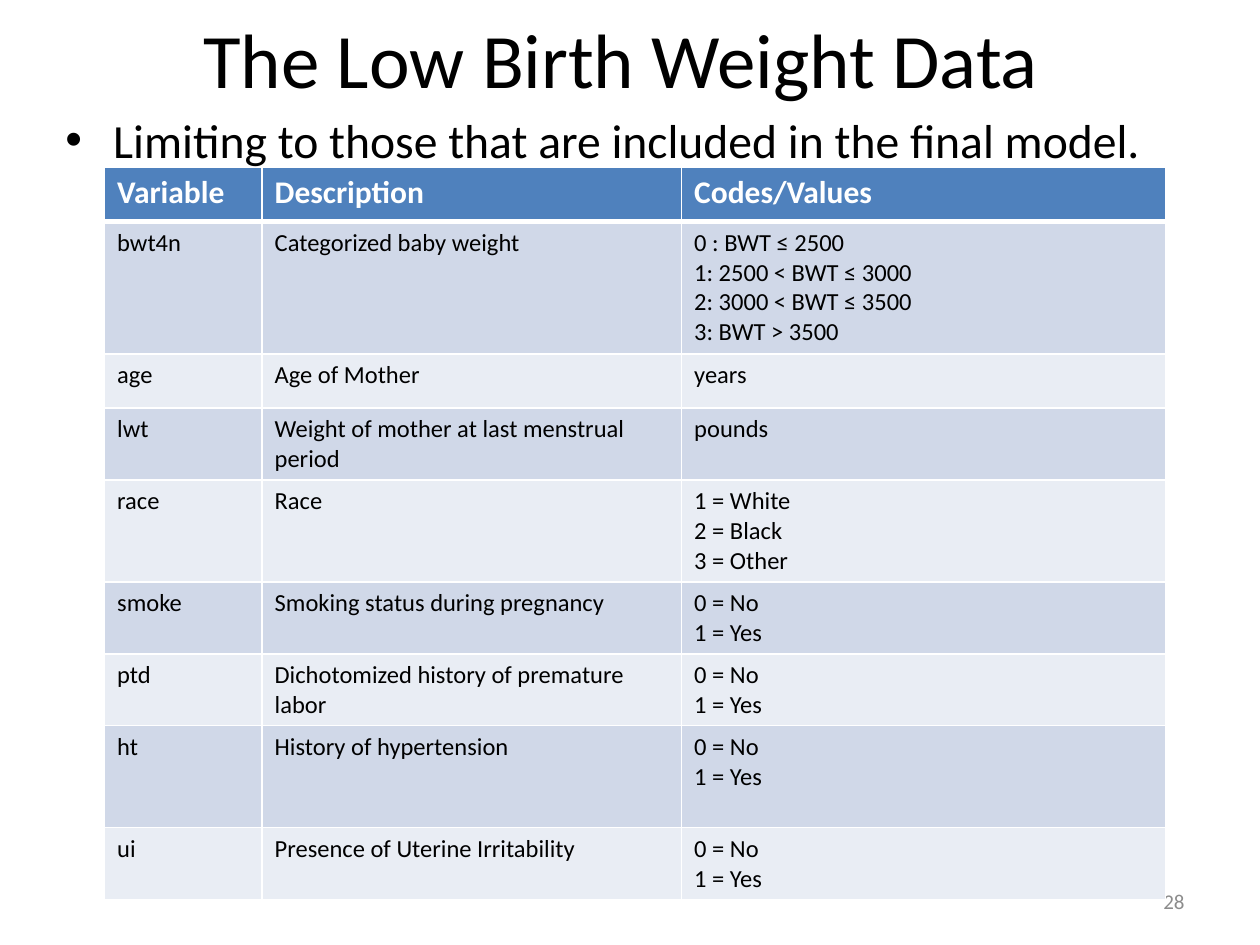
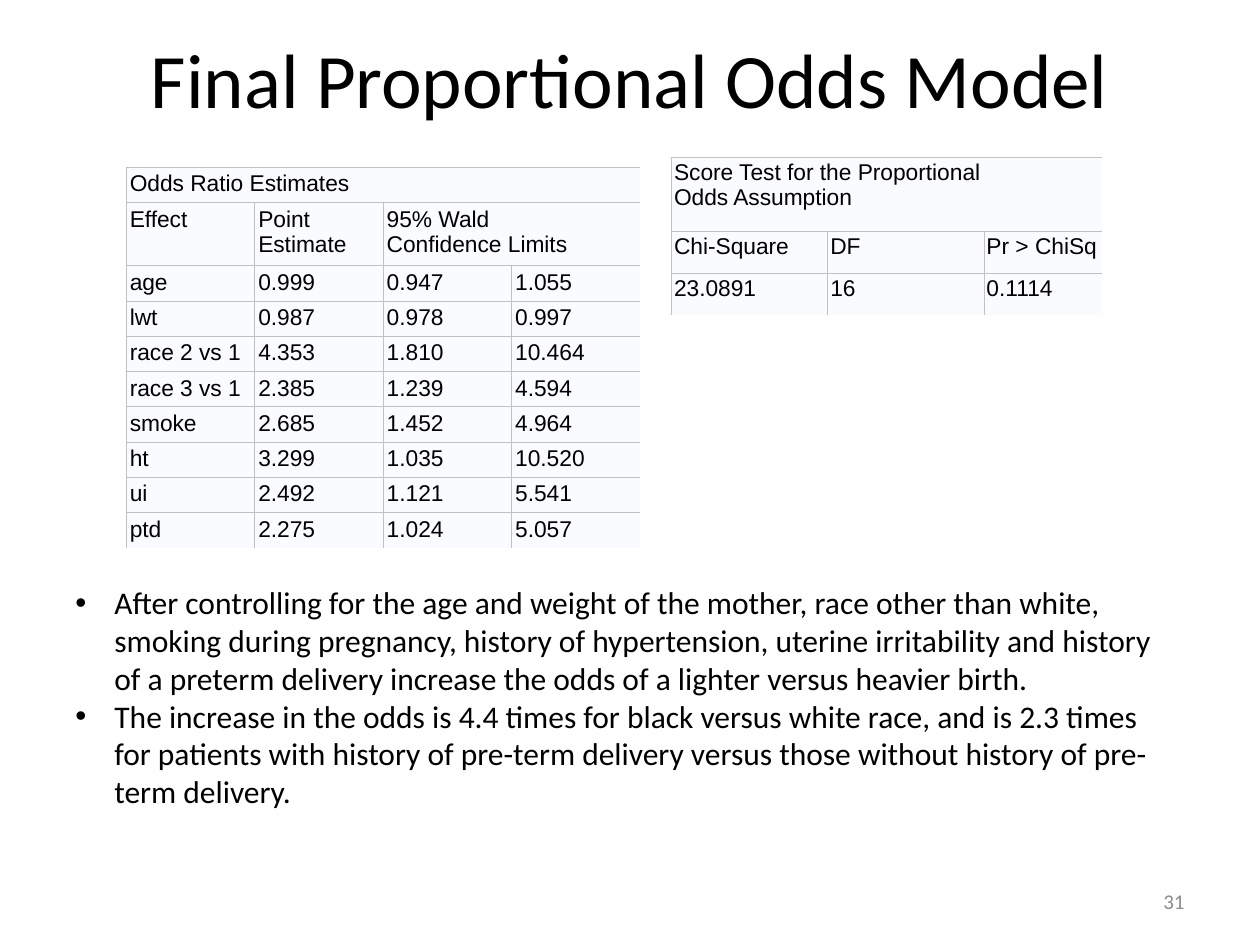
import pptx
import pptx.util
import pptx.dml.color
import pptx.enum.text
import pptx.oxml
from lxml import etree
from pptx.oxml.ns import qn

Inches, Pt = pptx.util.Inches, pptx.util.Pt
ALIGN = pptx.enum.text.PP_ALIGN
MIDDLE = pptx.enum.text.MSO_ANCHOR.MIDDLE

COLORS = {
    "text": "000000",
    "page": "8C8C8C",
    "white": "FFFFFF",
    "header": "4F81BD",
    "odd": "D0D8E8",
    "even": "E9EDF4",
    "output": "FAFBFE",
    "rule": "C1C1C1",
}

NO_YES = "0 = No\n1 = Yes"
VARIABLES = [
    ["Variable", "Description", "Codes/Values"],
    ["bwt4n", "Categorized baby weight",
     "0 : BWT ≤ 2500\n1: 2500 < BWT ≤ 3000\n2: 3000 < BWT ≤ 3500\n3: BWT > 3500"],
    ["age", "Age of Mother", "years"],
    ["lwt", "Weight of mother at last menstrual period", "pounds"],
    ["race", "Race", "1 = White\n2 = Black\n3 = Other"],
    ["smoke", "Smoking status during pregnancy", NO_YES],
    ["ptd", "Dichotomized history of premature labor", NO_YES],
    ["ht", "History of hypertension", NO_YES],
    ["ui", "Presence of Uterine Irritability", NO_YES],
]
VARIABLE_HEIGHTS = [0.43, 1.05, 0.43, 0.57, 0.81, 0.57, 0.57, 0.81, 0.57]

ODDS_RATIOS = [
    ["Odds Ratio Estimates", "", "", ""],
    ["Effect", "Point Estimate", "95% Wald\vConfidence Limits", ""],
    ["age", "0.999", "0.947", "1.055"],
    ["lwt", "0.987", "0.978", "0.997"],
    ["race 2 vs 1", "4.353", "1.810", "10.464"],
    ["race 3 vs 1", "2.385", "1.239", "4.594"],
    ["smoke", "2.685", "1.452", "4.964"],
    ["ht", "3.299", "1.035", "10.520"],
    ["ui", "2.492", "1.121", "5.541"],
    ["ptd", "2.275", "1.024", "5.057"],
]
SCORE_TEST = [
    ["Score Test for the Proportional\vOdds Assumption", "", ""],
    ["Chi-Square", "DF", "Pr > ChiSq"],
    ["23.0891", "16", "0.1114"],
]
FINDINGS = [
    "After controlling for the age and weight of the mother, race other than white, "
    "smoking during pregnancy, history of hypertension, uterine irritability and "
    "history of a preterm delivery increase the odds of a lighter versus heavier birth.",
    "The increase in the odds is 4.4 times for black versus white race, and is 2.3 "
    "times for patients with history of pre-term delivery versus those without "
    "history of pre-term delivery.",
]


def rgb(name):
    return pptx.dml.color.RGBColor.from_string(COLORS[name])


def set_borders(cell, borders):
    """Draw the left, right, top and bottom edges; a width of 0 hides one."""
    tcPr = cell._tc.get_or_add_tcPr()
    for i, (side, (color, width)) in enumerate(zip("LRTB", borders)):
        ln = etree.Element(qn(f"a:ln{side}"), w=str(Pt(width)))
        if width:
            fill = etree.SubElement(ln, qn("a:solidFill"))
            etree.SubElement(fill, qn("a:srgbClr"), val=COLORS[color])
        else:
            etree.SubElement(ln, qn("a:noFill"))
        tcPr.insert(i, ln)


class Deck:
    def __init__(self, font="Calibri"):
        self.prs = pptx.Presentation()
        self.prs.slide_width, self.prs.slide_height = Inches(10), Inches(7.5)
        self.font = font
        self.s = None

    def style(self, tf, size, color="text", font=None, bold=False, align=None):
        for p in tf.paragraphs:
            f = p.font
            f.name, f.size, f.bold = font or self.font, Pt(size), bold
            f.color.rgb = rgb(color)
            p.alignment = align

    def slide(self, title, top, height, number):
        self.s = self.prs.slides.add_slide(self.prs.slide_layouts[5])
        sp = self.s.shapes.title
        sp.left, sp.top, sp.width, sp.height = map(Inches, (0.5, top, 9, height))
        tf = sp.text_frame
        tf.text = title
        tf.vertical_anchor = MIDDLE
        tf.auto_size = pptx.enum.text.MSO_AUTO_SIZE.NONE
        self.style(tf, 44, align=ALIGN.CENTER)
        tf = self.text(number, 7.17, 6.95, 2.33, 0.4)
        tf.vertical_anchor = MIDDLE
        self.style(tf, 12, "page", align=ALIGN.RIGHT)

    def text(self, text, *box):
        tf = self.s.shapes.add_textbox(*map(Inches, box)).text_frame
        tf.word_wrap = True
        tf.text = text
        return tf

    def bullets(self, items, box, size, indent, before=0):
        tf = self.text("\n".join(items), *box)
        self.style(tf, size)
        for p in tf.paragraphs:
            p.space_before = Pt(before)
            pPr = p._p.get_or_add_pPr()
            pPr.set("marL", str(Inches(indent)))
            pPr.set("indent", str(-Inches(indent)))
            bullet = [etree.Element(qn("a:buFont"), typeface="Arial"),
                      etree.Element(qn("a:buChar"), char="•")]
            at = pPr.index(pPr.find(qn("a:spcBef"))) + 1
            pPr[at:at] = bullet

    def grid(self, rows, left, top, widths, heights, merges=()):
        frame = self.s.shapes.add_table(
            len(rows), len(widths), Inches(left), Inches(top),
            Inches(sum(widths)), Inches(sum(heights)))
        table = frame.table
        for column, width in zip(table.columns, widths):
            column.width = Inches(width)
        for row, height in zip(table.rows, heights):
            row.height = Inches(height)
        for r, first, last in merges:
            table.cell(r, first).merge(table.cell(r, last))
        for r, texts in enumerate(rows):
            for c, text in enumerate(texts):
                cell = table.cell(r, c)
                if not cell.is_spanned:
                    cell.text = text
                    yield r, c, cell

    def banded_table(self, rows, *layout):
        for r, c, cell in self.grid(rows, *layout):
            head = r == 0
            fill = "header" if head else "odd" if r % 2 else "even"
            cell.fill.solid()
            cell.fill.fore_color.rgb = rgb(fill)
            self.style(cell.text_frame, 18 if head else 14,
                       "white" if head else "text", bold=head)
            top, bottom = 3 if r == 1 else 1, 3 if head else 1
            set_borders(cell, [("white", w) for w in (1, 1, top, bottom)])

    def output_table(self, rows, left, top, widths, heights, merges, inset):
        """Statistical output: thin rules, open on the right and at the bottom."""
        for r, c, cell in self.grid(rows, left, top, widths, heights, merges):
            cell.fill.solid()
            cell.fill.fore_color.rgb = rgb("output")
            cell.margin_left = cell.margin_right = Inches(inset)
            cell.margin_top = cell.margin_bottom = Inches(inset)
            self.style(cell.text_frame, 13, font="Arial")
            span = cell.span_width if cell.is_merge_origin else 1
            right = 0.6 if c + span < len(widths) else 0
            bottom = 0.6 if r + 1 < len(rows) else 0
            set_borders(cell, [("rule", w) for w in (0.6, right, 0.6, bottom)])


def main():
    deck = Deck()

    deck.slide("The Low Birth Weight Data ", 0, 0.92, "28")
    deck.bullets(["Limiting to those that are included in the final model."],
                 (0.42, 0.83, 9.08, 0.83), 27.2, 0.38, before=5.4)
    deck.banded_table(VARIABLES, 0.83, 1.33, [1.25, 3.33, 3.84], VARIABLE_HEIGHTS)

    deck.slide("Final Proportional Odds Model", 0.08, 1.08, "31")
    deck.output_table(ODDS_RATIOS, 1, 1.33, [1.02] * 4, [0.28, 0.5] + [0.28] * 8,
                      [(0, 0, 3), (1, 2, 3)], 0.03)
    deck.output_table(SCORE_TEST, 5.33, 1.25, [1.24, 1.24, 0.94], [0.59, 0.33, 0.33],
                      [(0, 0, 2)], 0.02)
    deck.bullets(FINDINGS, (0.5, 4.58, 8.83, 1.92), 18, 0.31)

    deck.prs.save("out.pptx")


if __name__ == "__main__":
    main()
